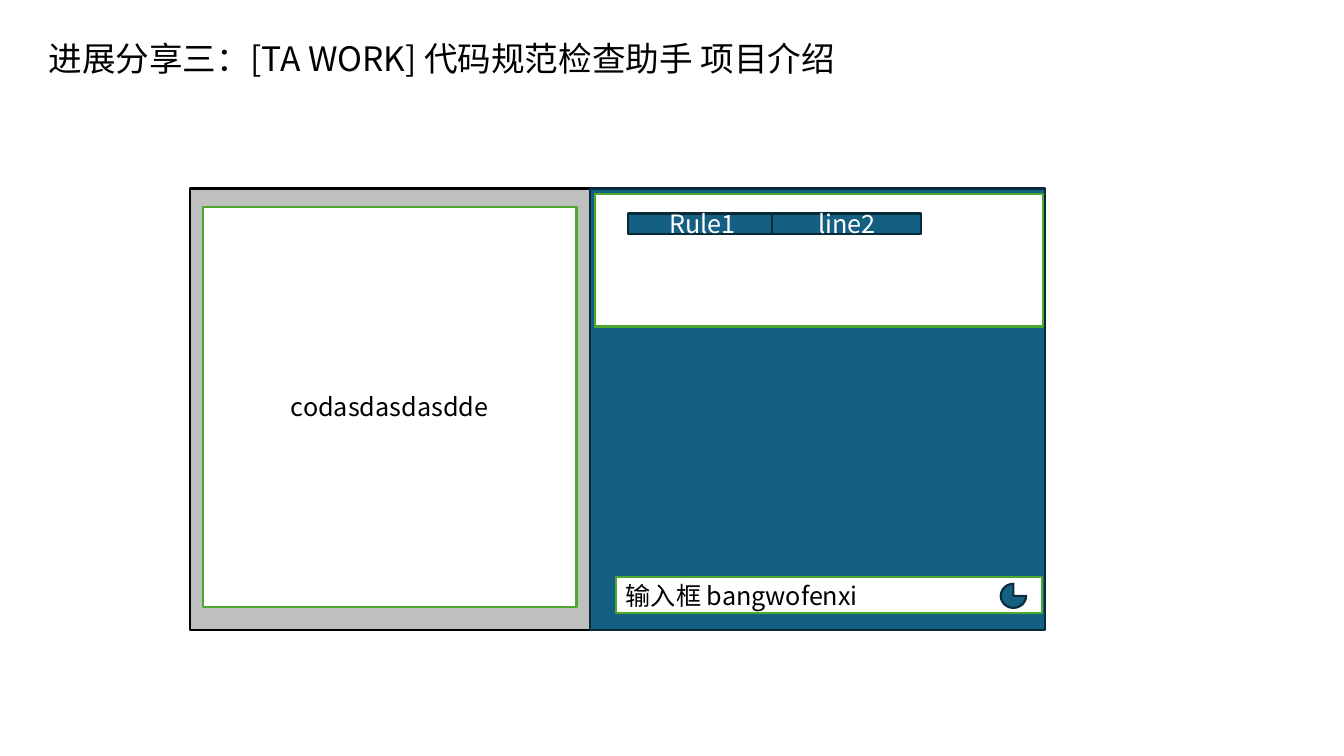
from lxml import etree
from pptx import Presentation
from pptx import util as u
from pptx.dml.color import RGBColor
from pptx.enum import shapes, text
from pptx.oxml.ns import qn

FONT = "Noto Sans CJK SC"
BLACK, WHITE, GREY = "000000", "FFFFFF", "BFBFBF"
BLUE, NAVY, GREEN = "156082", "092A39", "4EA72E"
RECT, PIE = shapes.MSO_SHAPE.RECTANGLE, shapes.MSO_SHAPE.PIE
LEFT, MID = text.PP_ALIGN.LEFT, text.PP_ALIGN.CENTER


def rgb(code):
    """Turn a hex string into a colour."""
    return RGBColor.from_string(code)


def write(frame, words, size, color, align, anchor):
    """Put one formatted paragraph into a text frame."""
    frame.word_wrap = True
    frame.vertical_anchor = anchor
    para = frame.paragraphs[0]
    para.text = words
    para.alignment = align
    para.line_spacing = 1.0
    para.space_before = u.Pt(0)
    para.font.size = u.Pt(size)
    para.font.name = FONT
    para.font.color.rgb = rgb(color)
    props = para._p.pPr.find(qn("a:defRPr"))
    etree.SubElement(props, qn("a:ea")).set("typeface", FONT)


def head(slide, words):
    """Place and format the slide title."""
    title = slide.shapes.title
    title.left, title.top = u.Cm(0.97), u.Cm(0.84)
    title.width, title.height = u.Cm(28.5), u.Cm(1.28)
    write(title.text_frame, words, 24, BLACK, LEFT, text.MSO_ANCHOR.TOP)


def panel(slide, box, fill, line, words="", color=BLACK, align=MID, kind=RECT):
    """Draw an outlined shape with optional text."""
    shape = slide.shapes.add_shape(kind, *map(u.Cm, box))
    shape.shadow.inherit = False
    shape.fill.solid()
    shape.fill.fore_color.rgb = rgb(fill)
    shape.line.color.rgb = rgb(line)
    shape.line.width = u.Pt(1.5)
    if words:
        write(shape.text_frame, words, 18, color, align, text.MSO_ANCHOR.MIDDLE)


def main():
    """Build the slide and save it."""
    deck = Presentation()
    deck.slide_width, deck.slide_height = u.Cm(33.87), u.Cm(19.05)
    slide = deck.slides.add_slide(deck.slide_layouts[5])
    head(slide, "进展分享三：[TA WORK] 代码规范检查助手 项目介绍")
    panel(slide, (4.8, 4.75, 10.11, 11.13), GREY, BLACK)
    panel(slide, (14.88, 4.75, 11.46, 11.13), BLUE, NAVY)
    panel(slide, (14.99, 4.9, 11.3, 3.33), WHITE, GREEN)
    panel(slide, (15.52, 14.55, 10.74, 0.89), WHITE, GREEN,
          "输入框 bangwofenxi", align=LEFT)
    panel(slide, (25.22, 14.71, 0.64, 0.61), BLUE, NAVY, kind=PIE)
    panel(slide, (5.11, 5.21, 9.42, 10.08), WHITE, GREEN, "codasdasdasdde")
    for col, words in enumerate(("Rule1", "line2")):
        panel(slide, (15.82 + col * 3.64, 5.38, 3.76, 0.51), BLUE, NAVY,
              words, WHITE)
    deck.save("out.pptx")


if __name__ == "__main__":
    main()
